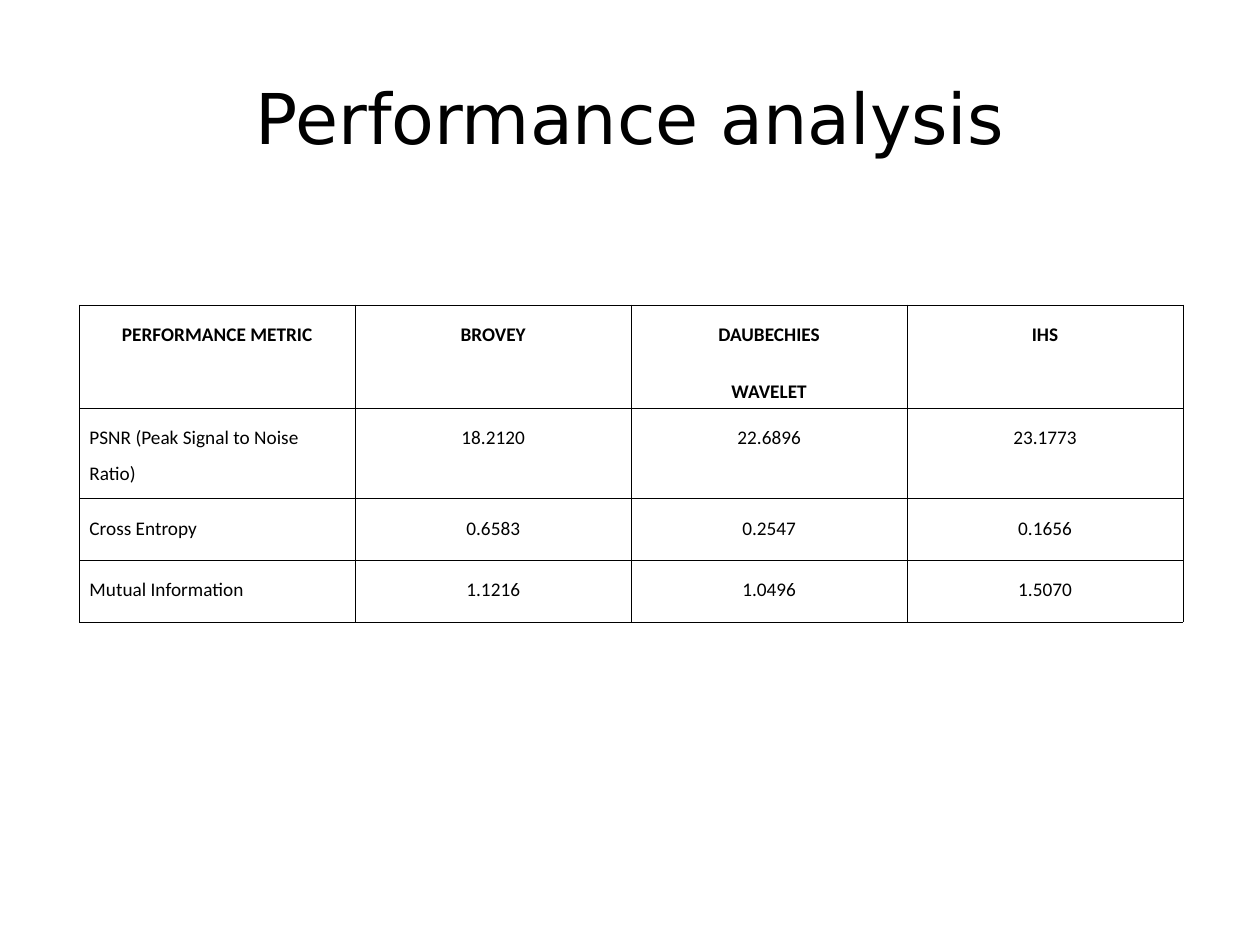
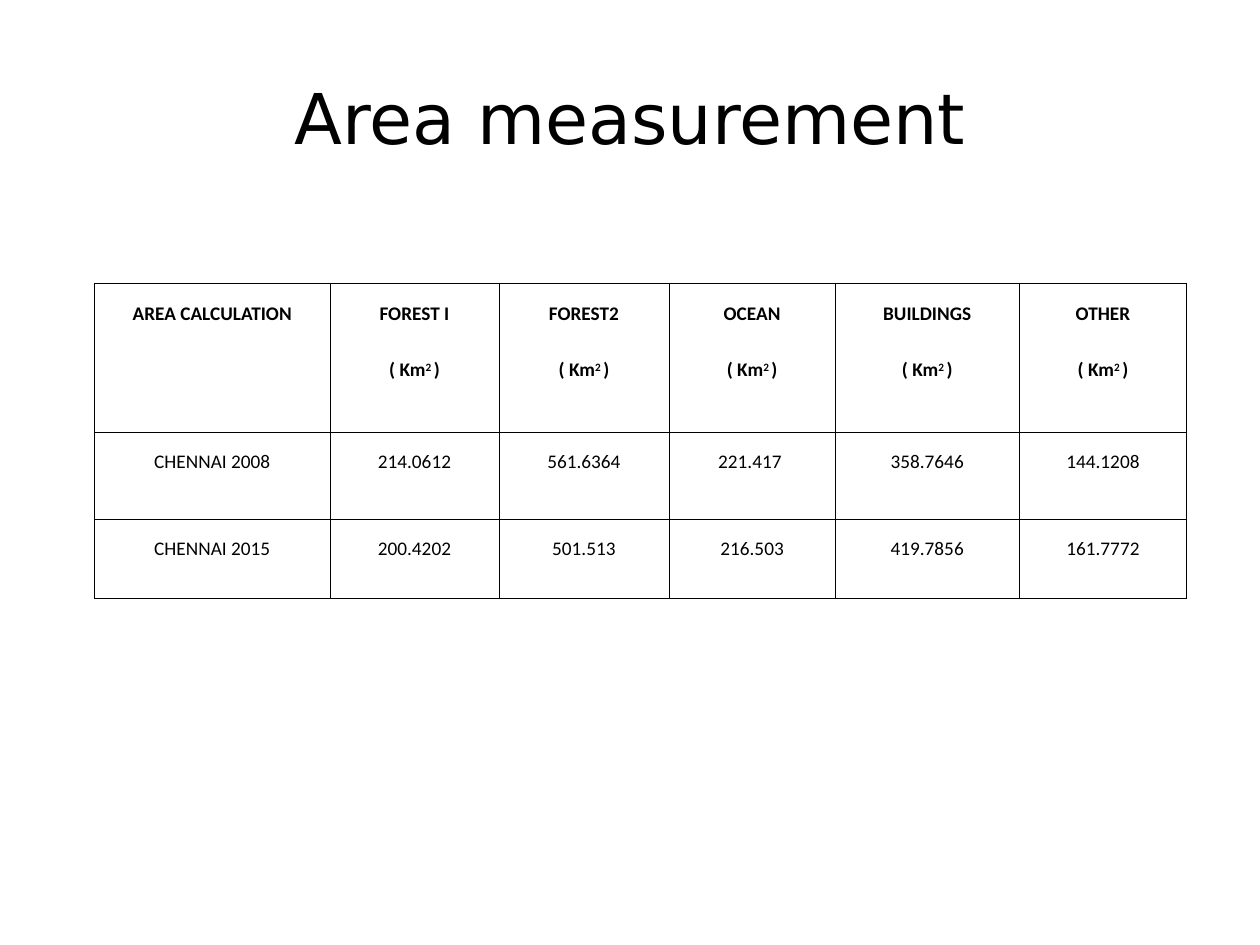
from lxml import etree
from pptx import Presentation
from pptx.dml.color import RGBColor
from pptx.enum import text
from pptx.oxml.ns import qn
from pptx.util import Inches, Pt

COLORS = {"ink": "000000", "paper": "FFFFFF"}
TITLE_FONT, TABLE_FONT = "DejaVu Sans", "Calibri"
BORDER = Pt(0.45)

# Text between two ^ marks is superscript; a line break starts a new paragraph.
UNIT = "( Km^2 ^)"
AREAS = ["FOREST I", "FOREST2", "OCEAN", "BUILDINGS", "OTHER"]

SLIDES = [
    {
        "title": "Performance analysis",
        "at": (0.63, 2.42),
        "cols": [2.19] * 4,
        "rows": [0.78, 0.72, 0.49, 0.49],
        "label_align": text.PP_ALIGN.LEFT,
        "cells": [
            ["PERFORMANCE METRIC", "BROVEY", "DAUBECHIES\nWAVELET", "IHS"],
            ["PSNR (Peak Signal to Noise Ratio)", "18.2120", "22.6896", "23.1773"],
            ["Cross Entropy", "0.6583", "0.2547", "0.1656"],
            ["Mutual Information", "1.1216", "1.0496", "1.5070"],
        ],
    },
    {
        "title": "Area measurement",
        "at": (0.75, 2.25),
        "cols": [1.87, 1.34, 1.35, 1.32, 1.46, 1.33],
        "rows": [1.18, 0.69, 0.63],
        "label_align": text.PP_ALIGN.CENTER,
        "cells": [
            ["AREA CALCULATION"] + [f"{area}\n{UNIT}" for area in AREAS],
            ["CHENNAI 2008", "214.0612", "561.6364", "221.417 ", "358.7646", "144.1208"],
            ["CHENNAI 2015", "200.4202", "501.513", "216.503", "419.7856", "161.7772"],
        ],
    },
]


def color(name):
    return RGBColor.from_string(COLORS[name])


def style_run(r, font, size, bold=False):
    r.font.name, r.font.size, r.font.bold = font, Pt(size), bold
    r.font.color.rgb = color("ink")


def add_title(s, title):
    tf = s.shapes.add_textbox(Inches(0.5), Inches(0.3), Inches(9), Inches(1.25)).text_frame
    tf.word_wrap = True
    tf.vertical_anchor = text.MSO_ANCHOR.MIDDLE
    p = tf.paragraphs[0]
    p.text = title
    p.alignment = text.PP_ALIGN.CENTER
    style_run(p.runs[0], TITLE_FONT, 40)


def add_borders(cell):
    tc_pr = cell._tc.get_or_add_tcPr()
    for side in ("lnL", "lnR", "lnT", "lnB"):
        line = etree.SubElement(tc_pr, qn(f"a:{side}"), w=str(BORDER))
        fill = etree.SubElement(line, qn("a:solidFill"))
        etree.SubElement(fill, qn("a:srgbClr"), val=COLORS["ink"])


def fill_cell(cell, content, align, bold):
    cell.margin_left = cell.margin_right = Inches(0.08)
    cell.margin_top = cell.margin_bottom = Inches(0.05)
    add_borders(cell)
    cell.fill.solid()
    cell.fill.fore_color.rgb = color("paper")
    tf = cell.text_frame
    for i, line in enumerate(content.split("\n")):
        p = tf.add_paragraph() if i else tf.paragraphs[0]
        p.alignment, p.line_spacing, p.space_after = align, 1.5, Pt(12)
        for j, part in enumerate(line.split("^")):
            r = p.add_run()
            r.text = part
            style_run(r, TABLE_FONT, 11, bold)
            if j % 2:
                r.font._element.set("baseline", "30000")


def add_data_table(s, data):
    cols, rows = data["cols"], data["rows"]
    box = (*data["at"], sum(cols), sum(rows))
    table = s.shapes.add_table(len(rows), len(cols), *map(Inches, box)).table
    table.first_row = table.horz_banding = False
    for column, width in zip(table.columns, cols):
        column.width = Inches(width)
    for i, (row, height) in enumerate(zip(table.rows, rows)):
        row.height = Inches(height)
        for j, content in enumerate(data["cells"][i]):
            is_label = i > 0 and j == 0
            align = data["label_align"] if is_label else text.PP_ALIGN.CENTER
            fill_cell(table.cell(i, j), content, align, bold=i == 0)


def main():
    prs = Presentation()
    prs.slide_width, prs.slide_height = Inches(10), Inches(7.5)
    for data in SLIDES:
        s = prs.slides.add_slide(prs.slide_layouts[6])
        add_title(s, data["title"])
        add_data_table(s, data)
    prs.save("out.pptx")


if __name__ == "__main__":
    main()
